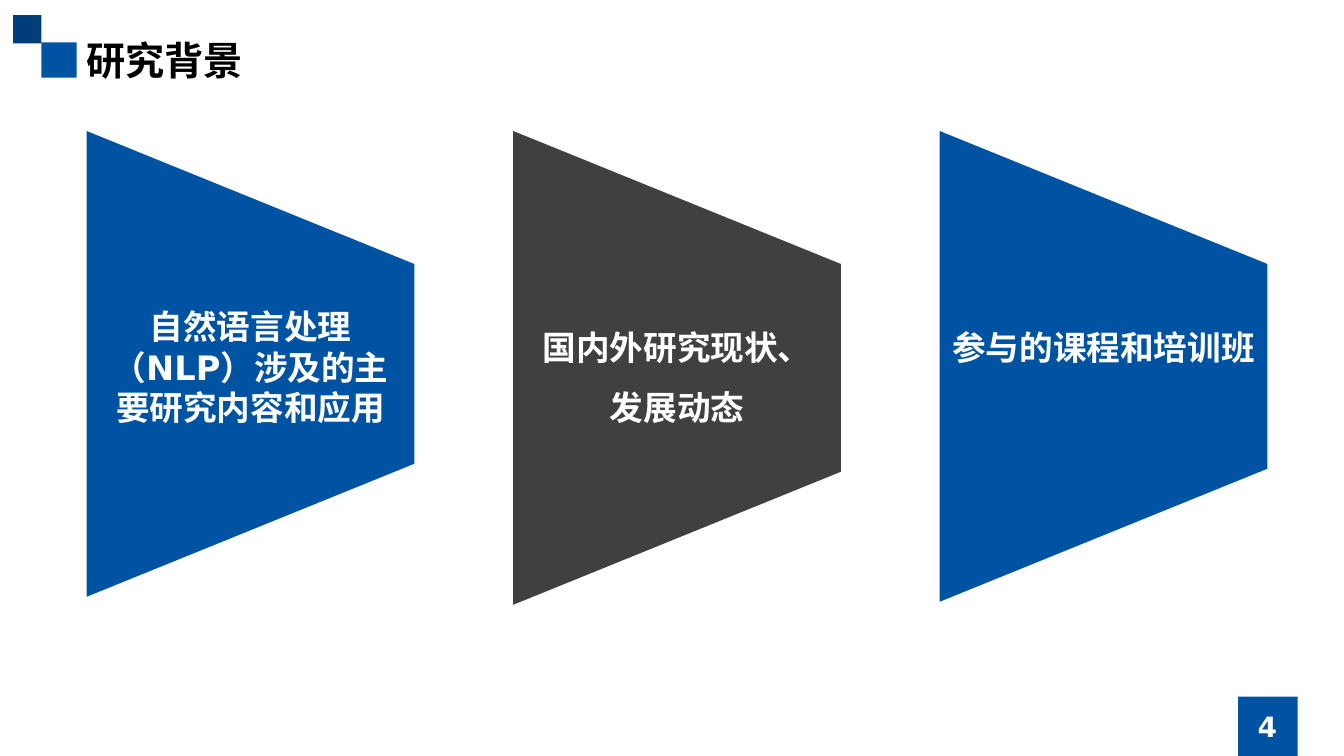
from dataclasses import dataclass

from lxml.etree import SubElement
from pptx import Presentation
from pptx.dml.color import RGBColor
from pptx.enum.shapes import MSO_SHAPE as Shape
from pptx.enum.text import MSO_ANCHOR as Anchor, PP_ALIGN as Align
from pptx.oxml.ns import qn
from pptx.util import Inches, Pt


@dataclass(frozen=True)
class Theme:
    blue: str = "0053A3"
    navy: str = "003E7A"
    gray: str = "404040"
    white: str = "FFFFFF"
    black: str = "000000"
    latin: str = "DejaVu Sans"
    chinese: str = "Noto Sans CJK SC"
    title: int = 28
    body: int = 24
    number: int = 20


THEME = Theme()


def add_block(page, kind, left, top, width, height, color):
    block = page.shapes.add_shape(
        kind, Inches(left), Inches(top), Inches(width), Inches(height))
    block.shadow.inherit = False
    block.fill.solid()
    block.fill.fore_color.rgb = RGBColor.from_string(color)
    block.line.fill.background()
    return block


def add_panel(page, left, top, width, height, color):
    center_x, center_y = left + width / 2, top + height / 2
    panel = add_block(page, Shape.TRAPEZOID, center_x - height / 2,
                      center_y - width / 2, height, width, color)
    panel.adjustments[0] = 0.406
    panel.rotation = 90


def add_text(page, left, top, width, height, lines, size, color,
             latin=THEME.latin, align=Align.CENTER, spacing=None,
             anchor=Anchor.TOP):
    box = page.shapes.add_textbox(
        Inches(left), Inches(top), Inches(width), Inches(height))
    frame = box.text_frame
    frame.word_wrap = True
    frame.vertical_anchor = anchor
    for index, line in enumerate(lines):
        para = frame.add_paragraph() if index else frame.paragraphs[0]
        para.alignment = align
        para.line_spacing = spacing
        span = para.add_run()
        span.text = line
        span.font.size = Pt(size)
        span.font.bold = True
        span.font.color.rgb = RGBColor.from_string(color)
        span.font.name = latin
        SubElement(span.font._element, qn("a:ea"), typeface=THEME.chinese)


def main():
    deck = Presentation()
    deck.slide_width, deck.slide_height = Inches(13.33), Inches(7.5)
    page = deck.slides.add_slide(deck.slide_layouts[6])

    add_block(page, Shape.RECTANGLE, 0.41, 0.42, 0.35, 0.35, THEME.blue)
    add_block(page, Shape.RECTANGLE, 0.13, 0.15, 0.28, 0.28, THEME.navy)
    add_block(page, Shape.RECTANGLE, 12.28, 6.91, 0.59, 0.59, THEME.blue)
    add_text(page, 0.76, 0.31, 5.91, 0.57, ["研究背景"], THEME.title,
             THEME.black, latin=THEME.chinese, align=Align.LEFT)
    add_text(page, 11.81, 7.01, 1.52, 0.4, ["4"], THEME.number,
             THEME.white, anchor=Anchor.MIDDLE)

    left, pitch, width = 0.86, 4.23, 3.25
    topics = [
        (["自然语言处理（NLP）涉及的主要研究内容和应用"],
         THEME.blue, 4.62, 1.33, None),
        (["国内外研究现状、", "发展动态"], THEME.gray, 4.7, 1.3, 1.5),
        (["参与的课程和培训班"], THEME.blue, 4.67, 0.7, 1.5),
    ]
    for index, (lines, color, height, text_height, spacing) in enumerate(topics):
        x = left + index * pitch
        add_panel(page, x, 1.3, width, height, color)
        add_text(page, x, 2.99, width, text_height, lines, THEME.body,
                 THEME.white, spacing=spacing)

    deck.save("out.pptx")


if __name__ == "__main__":
    main()
